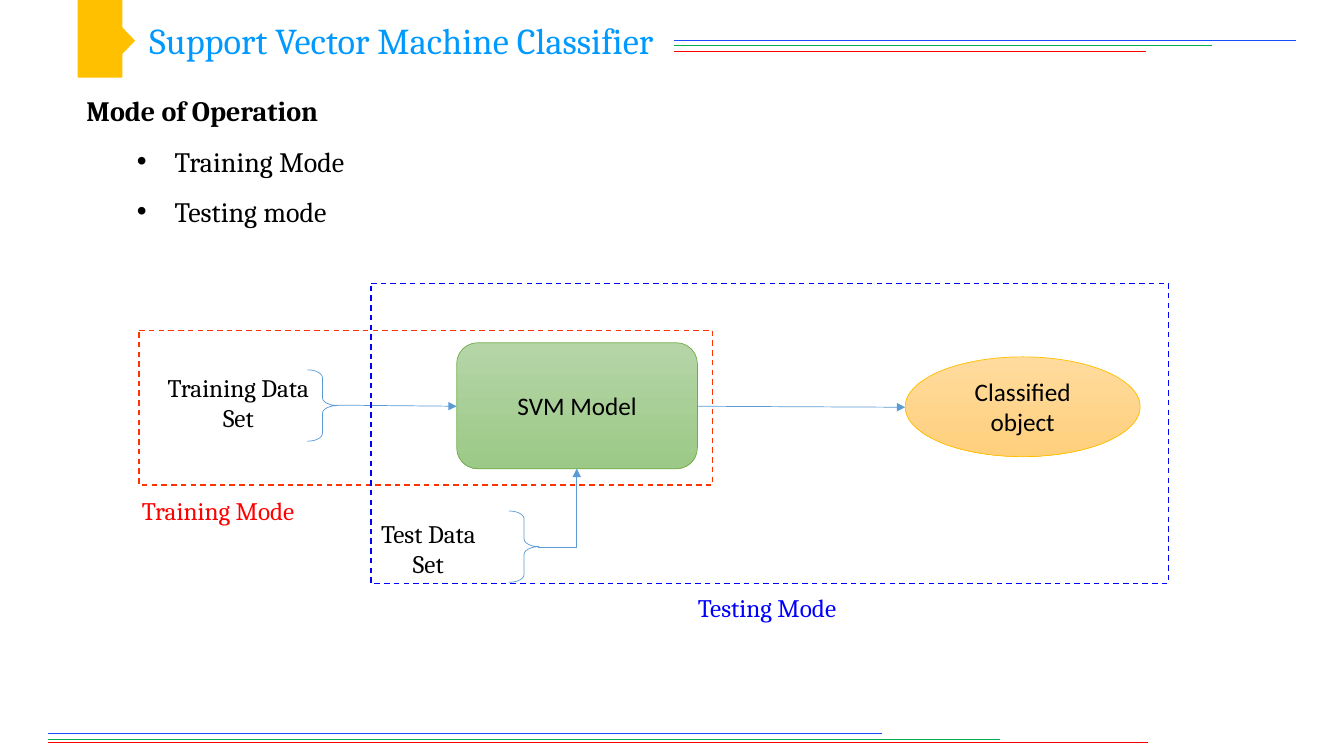
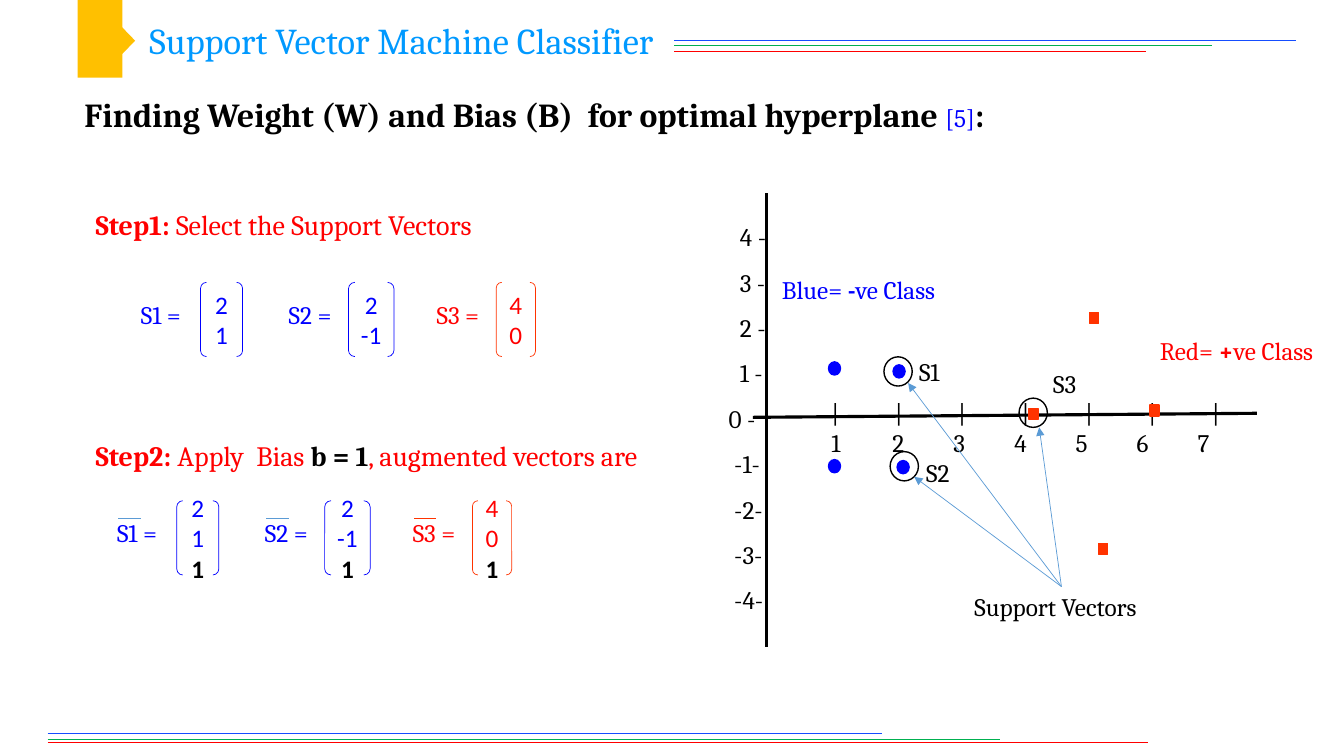
from dataclasses import dataclass
from typing import NamedTuple

from lxml import etree
from pptx import Presentation
from pptx.dml.color import RGBColor
from pptx.enum import dml, shapes, text
from pptx.oxml import ns
from pptx.util import Pt

COLORS = {
    "black": "000000", "red": "FF0000", "orange_red": "FF3300", "blue": "0000FF",
    "rule_blue": "154DFF", "rule_green": "00B050", "title": "0099FF", "gold": "FFC000",
    "arrow": "5B9BD5", "green": "70AD47", "green_top": "B5D5A7", "green_bottom": "9CC987",
    "gold_top": "FFDB9E", "gold_bottom": "FFD07C",
}
SERIF, SANS = "Cambria", "Calibri"
KIND = shapes.MSO_SHAPE
CENTER = text.PP_ALIGN.CENTER


class Box(NamedTuple):
    x: float
    y: float
    w: float
    h: float


class Line(NamedTuple):
    x1: float
    y1: float
    x2: float
    y2: float
    color: str = "arrow"
    width: float = 0.5
    arrow: bool = False


class Run(NamedTuple):
    """A piece of text; None keeps the paragraph's setting."""
    text: str
    bold: bool | None = None
    color: str | None = None
    size: float | None = None


@dataclass
class Para:
    runs: list[Run]
    size: float = 18
    color: str = "black"
    bold: bool = False
    font: str = SERIF
    align: text.PP_ALIGN | None = None
    spacing: float | None = None
    margin: float = 0
    bullet: bool = False
    tab_step: float = 0


@dataclass
class Vector:
    name: str
    values: tuple[str, str]
    color: str
    bracket_color: str
    overline_color: str
    width: float


HEADER_AND_FOOTER_RULES = [
    Line(34, 530.6, 820, 530.6, "red"),
    Line(34, 527.8, 714, 527.8, "rule_green"),
    Line(34, 524.2, 630, 524.2, "rule_blue"),
    Line(481.5, 29, 926, 29, "rule_blue"),
    Line(481.5, 32.5, 865.5, 32.5, "rule_green"),
    Line(481.5, 36.7, 818.5, 36.7, "red"),
]
VECTORS = [
    Vector("S1", ("2", "1"), "blue", "blue", "arrow", 30),
    Vector("S2", ("2", "-1"), "blue", "blue", "arrow", 32.5),
    Vector("S3", ("4", "0"), "red", "orange_red", "orange_red", 28),
]


def rgb(name: str) -> RGBColor:
    return RGBColor.from_string(COLORS[name])


def plain(content: str, **style) -> Para:
    return Para([Run(content)], **style)


def write(frame, paras: list[Para]) -> None:
    for index, para in enumerate(paras):
        p = frame.paragraphs[0] if index == 0 else frame.add_paragraph()
        props = p._p.get_or_add_pPr()
        if para.margin:
            props.set("marL", str(Pt(para.margin)))
        if para.bullet:
            p.level = 1
            props.set("indent", str(Pt(-27)))
            etree.SubElement(props, ns.qn("a:buFont"), typeface="Arial")
            etree.SubElement(props, ns.qn("a:buChar"), char="•")
        if para.tab_step:
            tabs = etree.SubElement(props, ns.qn("a:tabLst"))
            for stop in range(1, 7):
                etree.SubElement(tabs, ns.qn("a:tab"), pos=str(Pt(para.tab_step * stop)), algn="l")
        if para.spacing:
            p.line_spacing = para.spacing
        p.alignment = para.align
        p.font.name, p.font.size, p.font.bold = para.font, Pt(para.size), para.bold
        p.font.color.rgb = rgb(para.color)
        for part in para.runs:
            run = p.add_run()
            run.text = part.text
            if part.bold is not None:
                run.font.bold = part.bold
            if part.color:
                run.font.color.rgb = rgb(part.color)
            if part.size:
                run.font.size = Pt(part.size)


def add_text(slide, box: Box, *paras: Para, wrap: bool = False) -> None:
    frame = slide.shapes.add_textbox(*map(Pt, box)).text_frame
    frame.word_wrap = wrap
    frame.auto_size = text.MSO_AUTO_SIZE.SHAPE_TO_FIT_TEXT
    write(frame, list(paras))


def add_figure(slide, kind, box: Box, fill: str | tuple[str, str] | None = None,
               outline: str | None = None, width: float = 0.5, dashed: bool = False):
    """Draw a preset shape; a pair of fill colours makes a top-to-bottom gradient."""
    figure = slide.shapes.add_shape(kind, *map(Pt, box))
    figure.shadow.inherit = False
    if isinstance(fill, tuple):
        figure.fill.gradient()
        figure.fill.gradient_angle = 270
        for stop, name in zip(figure.fill.gradient_stops, fill):
            stop.color.rgb = rgb(name)
    elif fill:
        figure.fill.solid()
        figure.fill.fore_color.rgb = rgb(fill)
    else:
        figure.fill.background()
    if outline:
        figure.line.color.rgb = rgb(outline)
        figure.line.width = Pt(width)
        if dashed:
            figure.line.dash_style = dml.MSO_LINE.DASH
    else:
        figure.line.fill.background()
    return figure


def add_line(slide, line: Line, kind=shapes.MSO_CONNECTOR.STRAIGHT):
    connector = slide.shapes.add_connector(kind, *map(Pt, line[:4]))
    connector.line.color.rgb = rgb(line.color)
    connector.line.width = Pt(line.width)
    if line.arrow:
        etree.SubElement(connector.line._get_or_add_ln(), ns.qn("a:tailEnd"), type="triangle")
    etree.SubElement(connector._element.spPr, ns.qn("a:effectLst"))
    return connector


def add_corner_arrow(slide, line: Line) -> None:
    """Draw an arrow that runs across first and then turns once."""
    connector = add_line(slide, line, shapes.MSO_CONNECTOR.ELBOW)
    connector._element.spPr.find(ns.qn("a:prstGeom")).set("prst", "bentConnector2")


def add_brace(slide, x: float, y: float) -> None:
    brace = add_figure(slide, KIND.RIGHT_BRACE, Box(x, y, 21.5, 51), outline="arrow")
    brace.adjustments[0] = 0.26


def add_base_slide(deck):
    slide = deck.slides.add_slide(deck.slide_layouts[6])
    for rule in HEADER_AND_FOOTER_RULES:
        add_line(slide, rule)
    add_text(slide, Box(92.2, 9.4, 389.5, 39),
             plain("Support Vector Machine Classifier", size=26, color="title", align=CENTER),
             wrap=True)
    add_figure(slide, KIND.RECTANGLE, Box(55.5, 0, 32, 55.5), "gold")
    add_figure(slide, KIND.CHEVRON, Box(77.8, 19.4, 18.7, 19.4), "gold")
    return slide


def build_modes(deck) -> None:
    slide = add_base_slide(deck)
    bullet = {"size": 20, "spacing": 1.5, "margin": 63, "bullet": True}
    add_text(slide, Box(54.7, 63.4, 853, 104.4),
             plain("Mode of Operation", size=20, bold=True),
             plain("Training Mode", **bullet), plain("Testing mode", **bullet), wrap=True)

    add_brace(slide, 219.6, 264.2)
    model = add_figure(slide, KIND.ROUNDED_RECTANGLE, Box(326.2, 244.8, 172, 90),
                       ("green_top", "green_bottom"), "green")
    write(model.text_frame, [plain("SVM Model", font=SANS, align=CENTER)])
    add_line(slide, Line(240.5, 289.4, 326.2, 290.2, arrow=True))
    add_text(slide, Box(110.2, 262.1, 120.2, 51),
             plain("Training Data", align=CENTER), plain("Set", align=CENTER))
    add_figure(slide, KIND.FLOWCHART_PROCESS, Box(99.4, 236.2, 409.7, 110.2),
               outline="orange_red", width=1, dashed=True)
    add_text(slide, Box(92.2, 349.9, 127.4, 29),
             plain("Training Mode", color="red", align=CENTER))

    add_brace(slide, 363.6, 365)
    add_corner_arrow(slide, Line(384.5, 391, 412, 334.8, arrow=True))
    add_text(slide, Box(262.8, 366.5, 86.4, 51),
             plain("Test Data", align=CENTER), plain("Set", align=CENTER))
    add_line(slide, Line(498.2, 290.2, 646.6, 290.9, arrow=True))
    result = add_figure(slide, KIND.OVAL, Box(646.6, 254.9, 167.8, 71.3),
                        ("gold_top", "gold_bottom"), "gold")
    write(result.text_frame, [plain("Classified object", font=SANS, align=CENTER)])
    add_figure(slide, KIND.FLOWCHART_PROCESS, Box(265, 202.3, 569.5, 214.6),
               outline="blue", width=1, dashed=True)
    add_text(slide, Box(488.9, 419.8, 118, 29),
             plain("Testing Mode", color="blue", align=CENTER))


def add_plot(slide) -> None:
    add_line(slide, Line(547.2, 138.2, 547.2, 462.2, "black", 2.25))
    add_line(slide, Line(897.8, 295.2, 537.8, 298.1, "black", 2.25))
    scale = [plain(f"{n} -", spacing=1.5, margin=8 if n else 0) for n in range(4, -1, -1)]
    scale += [plain(f"{n}-", spacing=1.5, margin=4) for n in range(-1, -5, -1)]
    add_text(slide, Box(513.4, 144, 43.2, 301.7), *scale, wrap=True)
    add_text(slide, Box(586.8, 280, 299, 51),
             plain("\t".join("|" * 7), tab_step=45.3),
             plain("\t".join("1234567"), tab_step=43.6), wrap=True)

    for x, y in [(591.8, 258.5), (637.9, 260.6), (640.8, 329), (591.8, 328.3)]:
        add_figure(slide, KIND.OVAL, Box(x, y, 8.6, 9.4), "blue", "blue", 1)
    for x, y in [(735.1, 291.6), (778.3, 223.2), (784.8, 388.1), (821.5, 289.4)]:
        add_figure(slide, KIND.RECTANGLE, Box(x, y, 6.5, 7.9), "orange_red", "orange_red", 1)
    for x, y in [(635.8, 322.6), (631.4, 254.9), (727.9, 284.4)]:
        add_figure(slide, KIND.OVAL, Box(x, y, 20.2, 20.9), outline="black", width=1)
    for x, y in [(648.7, 273.6), (742.3, 305.3), (653, 340.6)]:
        add_line(slide, Line(758.2, 419, x, y, arrow=True))

    add_text(slide, Box(689, 419, 139, 29), plain("Support Vectors"))
    for name, sign, color, x, y in [("Red", "+", "red", 821.5, 236.2),
                                    ("Blue", "-", "blue", 551.5, 192.2)]:
        legend = Para([Run(f"{name}= "), Run(sign, bold=True), Run("ve Class")], color=color)
        add_text(slide, Box(x, y, 130.5, 29), legend)
    for name, x, y in [("S1", 649.4, 250.6), ("S2", 654.5, 323.3), ("S3", 745.2, 259.2)]:
        add_text(slide, Box(x, y, 33.8, 29), plain(name))


def add_vectors(slide, left: float, top: float, augmented: bool) -> None:
    """Draw the row of vectors; augmented ones get an overline and the bias value."""
    for index, vector in enumerate(VECTORS):
        x = left + 105.6 * index
        add_text(slide, Box(x, top, 52, 29), plain(f"{vector.name} =", color=vector.color))
        bracket = add_figure(slide, KIND.DOUBLE_BRACKET, Box(x + 49.7, top - 8.5, vector.width, 53),
                             outline=vector.bracket_color)
        bracket.adjustments[0] = 0.14
        entries = [plain(value, color=vector.color, font=SANS, align=CENTER)
                   for value in vector.values]
        if augmented:
            entries.append(plain("1", bold=True, font=SANS, align=CENTER))
            add_line(slide, Line(x + 8, top + 4, x + 24, top + 4, vector.overline_color))
        write(bracket.text_frame, entries)


def build_hyperplane(deck) -> None:
    slide = add_base_slide(deck)
    add_text(slide, Box(53.3, 63.4, 853, 36),
             Para([Run("Finding Weight (W) and Bias (B)  for optimal hyperplane "),
                   Run("[5]", False, "blue", 18), Run(":")], size=24, bold=True), wrap=True)
    add_plot(slide)
    add_text(slide, Box(61.2, 144.7, 344, 31.7),
             Para([Run("Step1: ", bold=True), Run("Select the Support Vectors")],
                  size=20, color="red"), wrap=True)
    add_vectors(slide, 93.6, 210.2, augmented=False)
    add_text(slide, Box(61.2, 309.6, 461.5, 31.7),
             Para([Run("Step2: ", bold=True), Run("Apply  Bias "), Run("b = 1", True, "black"),
                   Run(", augmented vectors are")], size=20, color="red"), wrap=True)
    add_vectors(slide, 76.6, 366.2, augmented=True)


def main() -> None:
    deck = Presentation()
    deck.slide_width, deck.slide_height = Pt(960), Pt(540)
    build_modes(deck)
    build_hyperplane(deck)
    deck.save("out.pptx")


if __name__ == "__main__":
    main()
